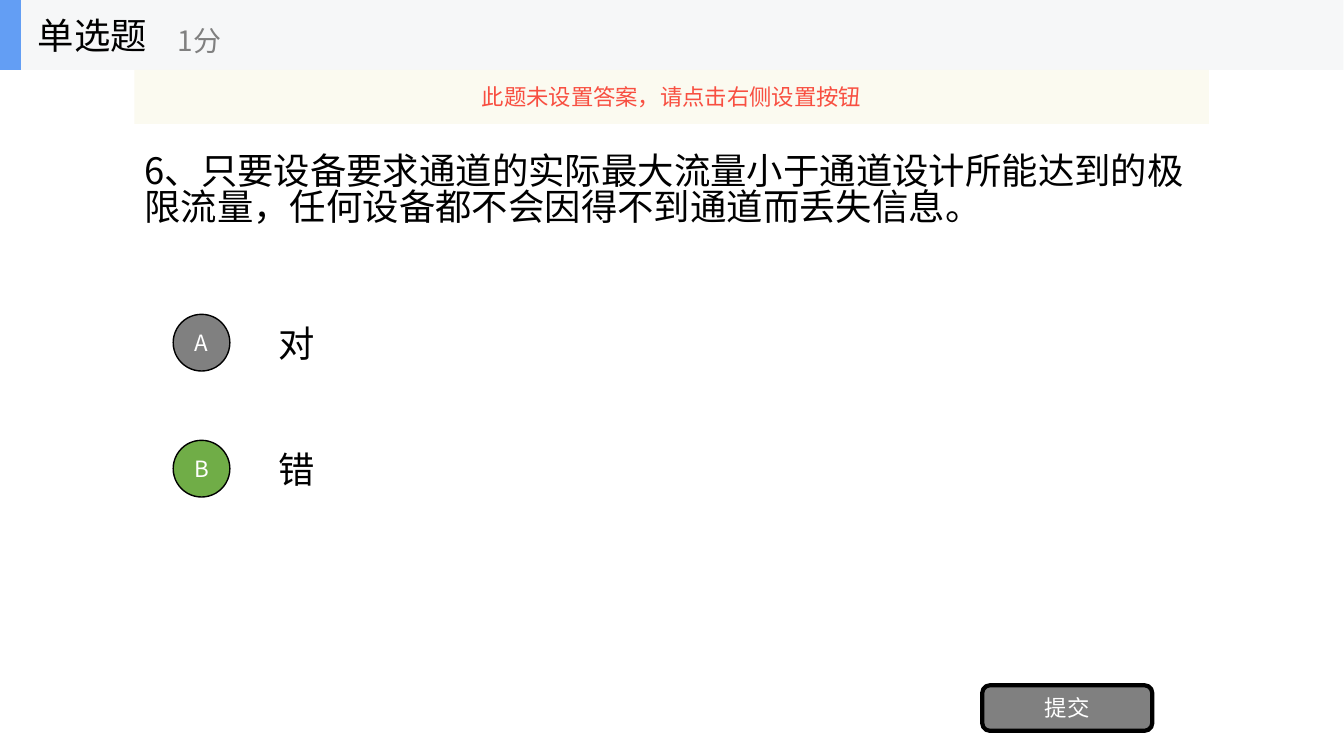
from pptx import Presentation
from pptx.dml.color import RGBColor
from pptx.enum.shapes import MSO_SHAPE
from pptx.enum.text import MSO_ANCHOR, MSO_AUTO_SIZE, PP_ALIGN
from pptx.oxml.ns import qn
from pptx.util import Pt
from lxml import etree

RECT, OVAL, ROUND = MSO_SHAPE.RECTANGLE, MSO_SHAPE.OVAL, MSO_SHAPE.ROUNDED_RECTANGLE
LEFT, CENTER = PP_ALIGN.LEFT, PP_ALIGN.CENTER
MIDDLE = MSO_ANCHOR.MIDDLE
NO_FIT = MSO_AUTO_SIZE.NONE
FACE = "Noto Sans CJK SC"
BLACK, GRAY, GREEN, WHITE = "000000", "808080", "70AD47", "FFFFFF"


def write(shape, text, size, color, align=LEFT):
    frame = shape.text_frame
    frame.text = text
    frame.word_wrap = True
    frame.auto_size = NO_FIT
    frame.vertical_anchor = MIDDLE
    para = frame.paragraphs[0]
    para.alignment = align
    font = para.runs[0].font
    font.size = Pt(size)
    font.name = FACE
    font.color.rgb = RGBColor.from_string(color)
    # Chinese text takes its face from the East Asian font
    etree.SubElement(para.runs[0].font._element, qn("a:ea"), typeface=FACE)


def draw(kind, box, fill, line=0):
    """Add a filled shape; line is the width of its black outline."""
    shape = slide.shapes.add_shape(kind, *map(Pt, box))
    shape.shadow.inherit = False
    shape.fill.solid()
    shape.fill.fore_color.rgb = RGBColor.from_string(fill)
    if line:
        shape.line.color.rgb = RGBColor.from_string(BLACK)
        shape.line.width = Pt(line)
    else:
        shape.line.fill.background()
    return shape


deck = Presentation()
deck.slide_width, deck.slide_height = Pt(960.5), Pt(540)
slide = deck.slides.add_slide(deck.slide_layouts[5])

# Question
title = slide.shapes.title
title.left, title.top, title.width, title.height = map(Pt, (96, 52.5, 768, 168.5))
write(title, "6、只要设备要求通道的实际最大流量小于通道设计所能达到的极限流量，"
      "任何设备都不会因得不到通道而丢失信息。", 26, BLACK)
title.text_frame.paragraphs[0].line_spacing = 0.84

# Options
options = [("A", "对", GRAY), ("B", "错", GREEN)]
for i, (mark, text, fill) in enumerate(options):
    top = 219.5 + 90 * i
    label = slide.shapes.add_textbox(Pt(192), Pt(top), Pt(672), Pt(50.5))
    write(label, text, 26, BLACK)
    badge = draw(OVAL, (123.75, top + 5, 40.5, 40.5), fill, 1)
    write(badge, mark, 16, WHITE, CENTER)

# Submit button
button = draw(ROUND, (702, 489.5, 121.5, 32.5), GRAY, 3)
write(button, "提交", 16, WHITE, CENTER)

# Header
draw(RECT, (0, 0, 960, 50), "F6F7F8")
draw(RECT, (0, 0, 15, 50), "639EF4")
heads = [("单选题", (20, 0, 150, 50), 26, BLACK), ("1分", (120, 8.5, 180, 40.5), 20, GRAY)]
for text, box, size, color in heads:
    write(slide.shapes.add_textbox(*map(Pt, box)), text, size, color)

# Warning band
band = draw(RECT, (96, 50, 768, 38.5), "FBFAEF")
tint = band.fill._xPr.find(".//" + qn("a:srgbClr"))
etree.SubElement(tint, qn("a:alpha"), val="90000")
write(band, "此题未设置答案，请点击右侧设置按钮", 16, "F84F41", CENTER)

deck.save("out.pptx")
